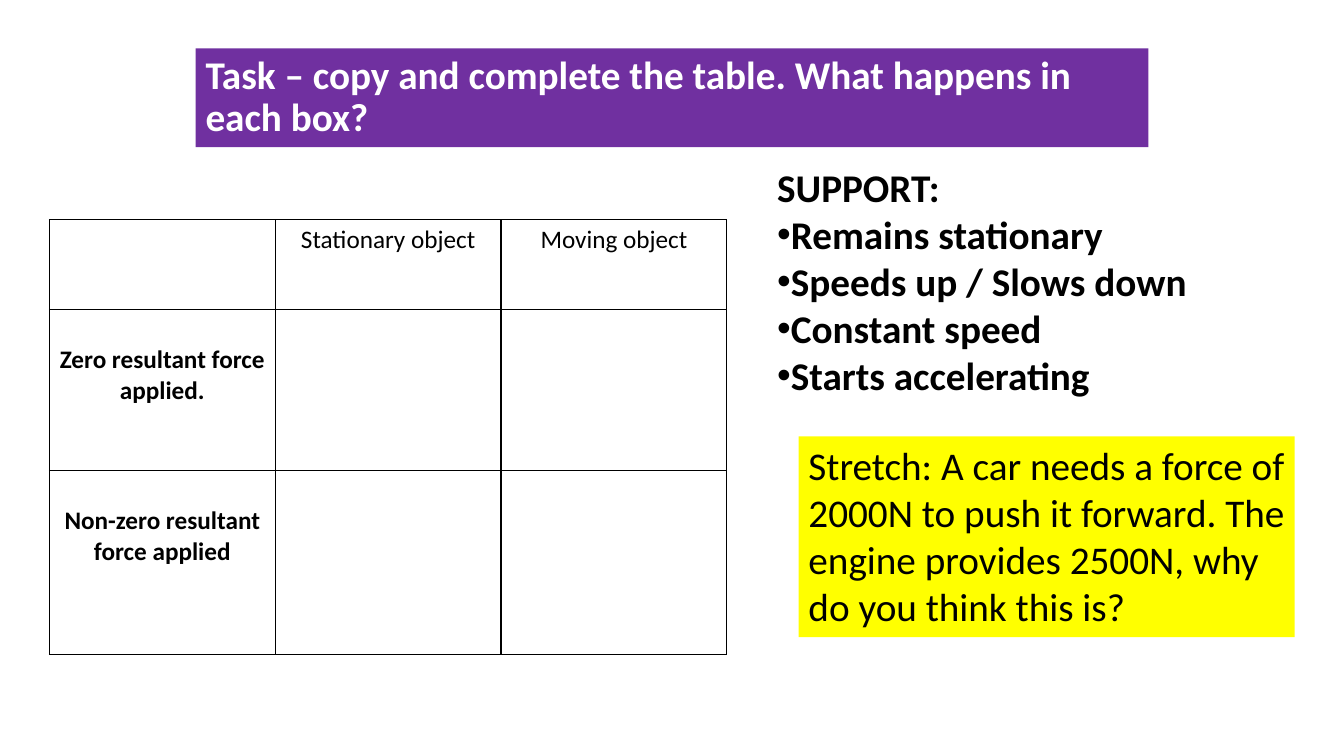
from lxml.etree import SubElement
from pptx import Presentation
from pptx.dml.color import RGBColor
from pptx.enum.shapes import MSO_SHAPE as Shape
from pptx.enum.text import MSO_ANCHOR as Anchor, PP_ALIGN as Align
from pptx.oxml.ns import qn
from pptx.util import Inches, Pt

FONT = "Calibri"
BLACK, WHITE, PURPLE, YELLOW = "000000", "FFFFFF", "7030A0", "FFFF00"

TITLE = "Task – copy and complete the table. What happens in each box?"
STRETCH = ("Stretch: A car needs a force of 2000N to push it forward. "
           "The engine provides 2500N, why do you think this is?")
HINTS = ["Remains stationary", "Speeds up / Slows down",
         "Constant speed", "Starts accelerating"]
FORCE_ROWS = [
    ["", "Stationary object", "Moving object"],
    ["Zero resultant force applied.", "", ""],
    ["Non-zero resultant force applied", "", ""],
]
ROW_HEIGHTS = [0.89, 1.6, 1.82]


def color(value):
    return RGBColor.from_string(value)


def add_text(para, text, size, fill=BLACK, bold=False, align=Align.LEFT):
    para.alignment = align
    span = para.add_run()
    span.text = text
    span.font.name = FONT
    span.font.size = Pt(size)
    span.font.bold = bold
    span.font.color.rgb = color(fill)


def add_bullet(para):
    properties = para._p.get_or_add_pPr()
    SubElement(properties, qn("a:buFont"), typeface="Arial")
    SubElement(properties, qn("a:buChar"), char="•")


def add_panel(page, box, fill, anchor):
    panel = page.shapes.add_shape(Shape.RECTANGLE, *map(Inches, box))
    panel.shadow.inherit = False
    panel.fill.solid()
    panel.fill.fore_color.rgb = color(fill)
    panel.line.fill.background()
    panel.text_frame.word_wrap = True
    panel.text_frame.vertical_anchor = anchor
    return panel.text_frame.paragraphs[0]


def add_title(page, box):
    para = add_panel(page, box, PURPLE, Anchor.MIDDLE)
    para.line_spacing = 0.9
    add_text(para, TITLE, 28, WHITE, bold=True)


def add_stretch(page, box):
    para = add_panel(page, box, YELLOW, Anchor.TOP)
    add_text(para, STRETCH, 28)


def add_support(page, box):
    frame = page.shapes.add_textbox(*map(Inches, box)).text_frame
    frame.word_wrap = True
    add_text(frame.paragraphs[0], "SUPPORT:", 28, bold=True)
    for hint in HINTS:
        para = frame.add_paragraph()
        add_bullet(para)
        add_text(para, hint, 28, bold=True)


def style_cell(cell):
    properties = cell._tc.get_or_add_tcPr()
    for side in ("lnL", "lnR", "lnT", "lnB"):
        line = SubElement(properties, qn(f"a:{side}"), w=str(Pt(1)))
        solid = SubElement(line, qn("a:solidFill"))
        SubElement(solid, qn("a:srgbClr"), val=BLACK)
    cell.fill.solid()
    cell.fill.fore_color.rgb = color(WHITE)


def add_force_table(page, box):
    rows, columns = len(FORCE_ROWS), len(FORCE_ROWS[0])
    table = page.shapes.add_table(rows, columns, *map(Inches, box)).table
    table.first_row = table.horz_banding = False
    for column in table.columns:
        column.width = Inches(box[2] / columns)
    for r, (texts, height) in enumerate(zip(FORCE_ROWS, ROW_HEIGHTS)):
        table.rows[r].height = Inches(height)
        for c, text in enumerate(texts):
            cell = table.cell(r, c)
            style_cell(cell)
            if text:
                is_label = c == 0
                if is_label:
                    cell.margin_top = Inches(0.35)
                add_text(cell.text_frame.paragraphs[0], text, 18,
                         bold=is_label, align=Align.CENTER)


def main():
    deck = Presentation()
    deck.slide_width, deck.slide_height = Inches(13.33), Inches(7.5)
    page = deck.slides.add_slide(deck.slide_layouts[6])
    add_title(page, (1.94, 0.48, 9.45, 0.98))
    add_force_table(page, (0.49, 2.18, 6.72, sum(ROW_HEIGHTS)))
    add_stretch(page, (7.92, 4.33, 4.92, 1.99))
    add_support(page, (7.61, 1.57, 5.02, 2.76))
    deck.save("out.pptx")


if __name__ == "__main__":
    main()
